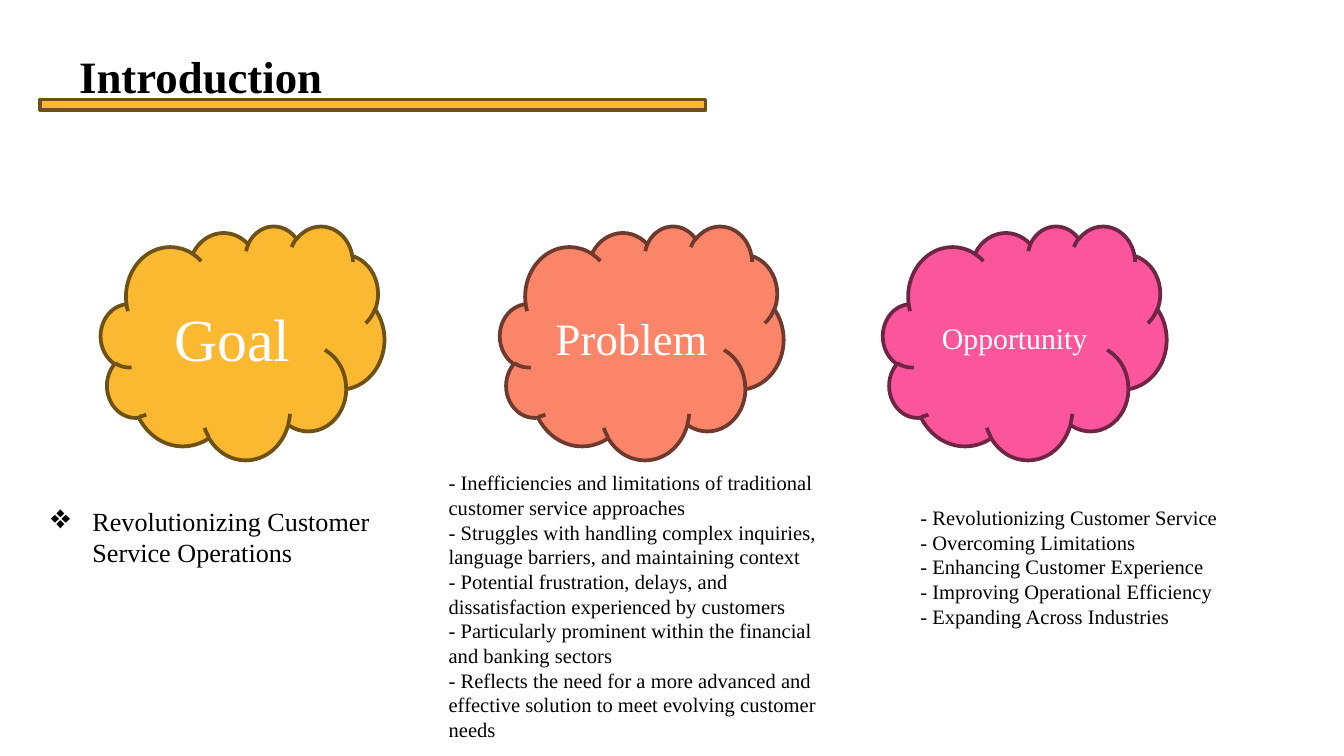
"""Build the introduction slide with three clouds and their notes."""
from dataclasses import dataclass

from lxml import etree
from pptx import Presentation
from pptx import util as u
from pptx.dml.color import RGBColor
from pptx.enum import shapes, text
from pptx.oxml.ns import qn
from pptx.shapes.autoshape import Shape
from pptx.slide import Slide
from pptx.text.text import TextFrame, _Paragraph


@dataclass(frozen=True)
class Theme:
    font: str = "Times New Roman"
    ink: str = "000000"
    paper: str = "FFFFFF"
    gold: str = "FBB831"
    gold_edge: str = "6E5115"
    coral: str = "FB8569"
    coral_edge: str = "6E3A2E"
    pink: str = "FB569C"
    pink_edge: str = "6E2644"
    title_size: int = 24
    goal_size: int = 14
    note_size: int = 11
    edge_width: int = 2


@dataclass(frozen=True)
class Box:
    left: float
    top: float
    width: float
    height: float

    def lengths(self) -> list[u.Length]:
        return [u.Inches(value) for value in (self.left, self.top, self.width, self.height)]


@dataclass(frozen=True)
class Topic:
    label: str
    label_size: int
    cloud_left: float
    fill: str
    edge: str
    note_box: Box
    note_size: int
    notes: tuple[str, ...]
    bullet: str = ""


THEME = Theme()
SLIDE_WIDTH = 10
SLIDE_HEIGHT = SLIDE_WIDTH * 9 / 16
CLOUD_TOP, CLOUD_WIDTH, CLOUD_HEIGHT = 1.68, 2.11, 1.74
BULLET_INDENT = 0.31
BULLET_SCALE = "130000"

TOPICS = (
    Topic("Goal", 32, 0.75, THEME.gold, THEME.gold_edge,
          Box(0.28, 3.71, 2.66, 0.81), THEME.goal_size,
          ("Revolutionizing Customer Service Operations",), "❖"),
    Topic("Problem", 24, 3.72, THEME.coral, THEME.coral_edge,
          Box(3.24, 3.45, 2.94, 2.14), THEME.note_size,
          ("- Inefficiencies and limitations of traditional customer service approaches",
           "- Struggles with handling complex inquiries, language barriers, and maintaining context",
           "- Potential frustration, delays, and dissatisfaction experienced by customers",
           "- Particularly prominent within the financial and banking sectors",
           "- Reflects the need for a more advanced and effective solution to meet evolving "
           "customer needs")),
    Topic("Opportunity", 16, 6.57, THEME.pink, THEME.pink_edge,
          Box(6.75, 3.71, 3.86, 1.03), THEME.note_size,
          ("- Revolutionizing Customer Service",
           "- Overcoming Limitations",
           "- Enhancing Customer Experience",
           "- Improving Operational Efficiency",
           "- Expanding Across Industries")),
)


def add_run(paragraph: _Paragraph, content: str, size: int, color: str, bold: bool = False) -> None:
    run = paragraph.add_run()
    run.text = content
    run.font.name = THEME.font
    run.font.size = u.Pt(size)
    run.font.bold = bold
    run.font.color.rgb = RGBColor.from_string(color)


def add_bullet(paragraph: _Paragraph, symbol: str) -> None:
    properties = paragraph._p.get_or_add_pPr()
    indent = u.Inches(BULLET_INDENT)
    properties.set("marL", str(indent))
    properties.set("indent", str(-indent))
    color = etree.SubElement(properties, qn("a:buClr"))
    etree.SubElement(color, qn("a:srgbClr"), val=THEME.ink)
    etree.SubElement(properties, qn("a:buSzPct"), val=BULLET_SCALE)
    etree.SubElement(properties, qn("a:buChar"), char=symbol)


def add_text_frame(slide: Slide, box: Box) -> TextFrame:
    frame = slide.shapes.add_textbox(*box.lengths()).text_frame
    frame.word_wrap = True
    return frame


def add_filled_shape(slide: Slide, kind: shapes.MSO_SHAPE, box: Box, fill: str, edge: str) -> Shape:
    shape = slide.shapes.add_shape(kind, *box.lengths())
    shape.shadow.inherit = False
    shape.fill.solid()
    shape.fill.fore_color.rgb = RGBColor.from_string(fill)
    shape.line.color.rgb = RGBColor.from_string(edge)
    shape.line.width = u.Pt(THEME.edge_width)
    return shape


def add_title(slide: Slide, content: str) -> None:
    frame = add_text_frame(slide, Box(0.49, 0.3, 8.45, 0.53))
    frame.vertical_anchor = text.MSO_ANCHOR.MIDDLE
    frame.margin_top = frame.margin_bottom = u.Inches(0.1)
    add_run(frame.paragraphs[0], content, THEME.title_size, THEME.ink, bold=True)
    add_filled_shape(slide, shapes.MSO_SHAPE.RECTANGLE, Box(0.3, 0.74, 4.95, 0.08),
                     THEME.gold, THEME.gold_edge)


def add_topic(slide: Slide, topic: Topic) -> None:
    cloud_box = Box(topic.cloud_left, CLOUD_TOP, CLOUD_WIDTH, CLOUD_HEIGHT)
    cloud = add_filled_shape(slide, shapes.MSO_SHAPE.CLOUD, cloud_box, topic.fill, topic.edge)
    cloud.text_frame.vertical_anchor = text.MSO_ANCHOR.MIDDLE
    label = cloud.text_frame.paragraphs[0]
    label.alignment = text.PP_ALIGN.CENTER
    add_run(label, topic.label, topic.label_size, THEME.paper)

    frame = add_text_frame(slide, topic.note_box)
    frame.auto_size = text.MSO_AUTO_SIZE.SHAPE_TO_FIT_TEXT
    for index, note in enumerate(topic.notes):
        paragraph = frame.add_paragraph() if index else frame.paragraphs[0]
        if topic.bullet:
            add_bullet(paragraph, topic.bullet)
        add_run(paragraph, note, topic.note_size, THEME.ink)


def main() -> None:
    presentation = Presentation()
    presentation.slide_width = u.Inches(SLIDE_WIDTH)
    presentation.slide_height = u.Inches(SLIDE_HEIGHT)
    slide = presentation.slides.add_slide(presentation.slide_layouts[6])
    add_title(slide, "Introduction")
    for topic in TOPICS:
        add_topic(slide, topic)
    presentation.save("out.pptx")


if __name__ == "__main__":
    main()
